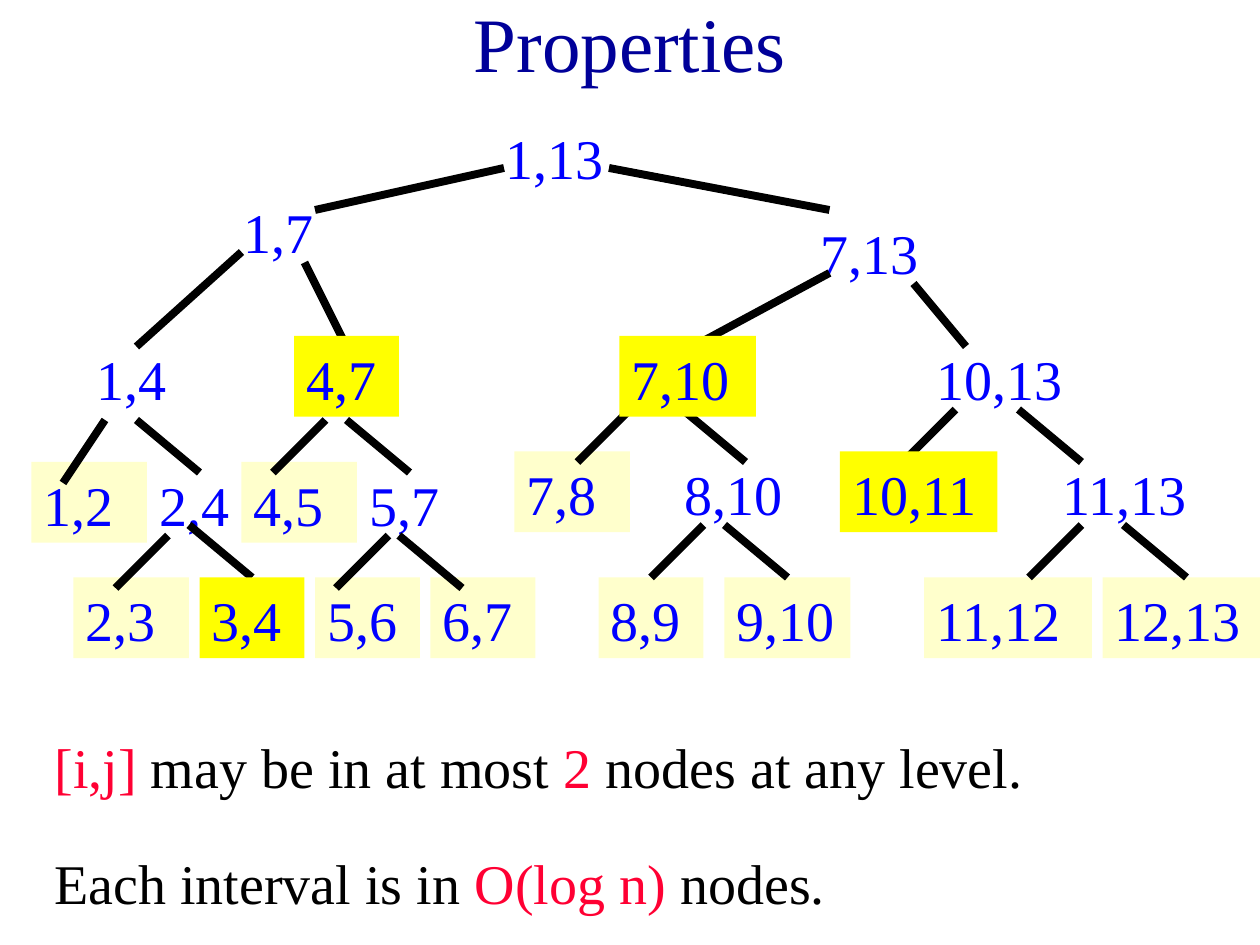
from lxml.etree import SubElement
from pptx import Presentation
from pptx.dml.color import RGBColor
from pptx.enum.shapes import MSO_CONNECTOR as Link, MSO_SHAPE as Preset
from pptx.enum.text import MSO_ANCHOR as Anchor, PP_ALIGN as Align
from pptx.oxml.ns import qn
from pptx.util import Inches, Pt

FONT = "Times New Roman"
NAVY = RGBColor(0x00, 0x00, 0x99)
BLUE = RGBColor(0x00, 0x00, 0xFF)
RED = RGBColor(0xFF, 0x00, 0x33)
BLACK = RGBColor(0x00, 0x00, 0x00)
WHITE = RGBColor(0xFF, 0xFF, 0xFF)
PALE = RGBColor(0xFF, 0xFF, 0xCC)
YELLOW = RGBColor(0xFF, 0xFF, 0x00)

UNIT = Inches(10) // 120
LINE_ROWS = 7.68
TOP_SIDE = 0

# label, column, row, columns wide, fill, branch from the parent
NODES = [
    ("1,13", 47, 11, 12, None, None),
    ("1,7", 22, 18, 12, None, (48, 16, 30, 20)),
    ("7,13", 77, 20, 15, None, (58, 16, 79, 20)),
    ("1,4", 8, 32, 11, None, (23, 24, 13, 33)),
    ("4,7", 28, 32, 10, YELLOW, (29, 25, 33, 33)),
    ("7,10", 59, 32, 13, YELLOW, (79, 26, 66, 33)),
    ("10,13", 88, 32, 16, None, (87, 27, 92, 33)),
    ("1,2", 3, 44, 11, PALE, (10, 40, 6, 46)),
    ("2,4", 14, 44, 11, None, (13, 40, 19, 45)),
    ("4,5", 23, 44, 11, PALE, (31, 40, 26, 45)),
    ("5,7", 34, 44, 12, None, (33, 40, 39, 45)),
    ("7,8", 49, 43, 11, PALE, (60, 39, 55, 44)),
    ("8,10", 64, 43, 16, None, (65, 39, 71, 44)),
    ("10,11", 80, 43, 15, YELLOW, (91, 39, 86, 44)),
    ("11,13", 100, 43, 16, None, (97, 39, 103, 44)),
    ("2,3", 7, 55, 11, PALE, (16, 51, 11, 56)),
    ("3,4", 19, 55, 10, YELLOW, (18, 50, 24, 55)),
    ("5,6", 30, 55, 10, PALE, (37, 51, 32, 56)),
    ("6,7", 41, 55, 10, PALE, (38, 51, 44, 56)),
    ("8,9", 57, 55, 10, PALE, (67, 50, 62, 55)),
    ("9,10", 69, 55, 12, PALE, (69, 50, 75, 55)),
    ("11,12", 88, 55, 16, PALE, (103, 50, 98, 55)),
    ("12,13", 105, 55, 15, PALE, (107, 50, 113, 55)),
]


def grid(*cells):
    return [round(cell * UNIT) for cell in cells]


def add_text(slide, area, runs, size=32, fill=None, align=Align.LEFT, anchor=Anchor.BOTTOM):
    if fill is None:
        holder = slide.shapes.add_textbox(*grid(*area))
    else:
        holder = slide.shapes.add_shape(Preset.RECTANGLE, *grid(*area))
        holder.shadow.inherit = False
        holder.fill.solid()
        holder.fill.fore_color.rgb = fill
        holder.line.fill.background()
    frame = holder.text_frame
    frame.word_wrap = True
    frame.vertical_anchor = anchor
    frame.margin_left = frame.margin_right = Inches(0.1)
    frame.margin_top = frame.margin_bottom = Inches(0.04)
    paragraph = frame.paragraphs[0]
    paragraph.alignment = align
    for words, color in runs:
        run = paragraph.add_run()
        run.text = words
        run.font.name = FONT
        run.font.size = Pt(size)
        run.font.color.rgb = color
    return holder


def add_node(slide, label, col, row, cols, fill):
    return add_text(slide, (col, row, cols, LINE_ROWS), [(label, BLUE)], fill=fill)


def add_branch(slide, ends):
    branch = slide.shapes.add_connector(Link.STRAIGHT, *grid(*ends))
    branch.line.color.rgb = BLACK
    branch.line.width = Pt(4.5)
    SubElement(branch._element.spPr, qn("a:effectLst"))
    return branch


def add_tree(slide):
    behind = [node for node in NODES if node[4] != YELLOW]
    in_front = [node for node in NODES if node[4] == YELLOW]
    boxes = {node[0]: add_node(slide, *node[:5]) for node in behind}
    branches = {node[0]: add_branch(slide, node[5]) for node in NODES if node[5]}
    boxes.update({node[0]: add_node(slide, *node[:5]) for node in in_front})
    for label, col, row, cols, fill, ends in NODES:
        if ends and ends[2:] == (col + cols / 2, row):
            branches[label].end_connect(boxes[label], TOP_SIDE)


def add_property(slide, row, runs):
    add_text(slide, (4, row, 111, LINE_ROWS), runs, fill=WHITE)


def main():
    deck = Presentation()
    deck.slide_width, deck.slide_height = grid(120, 90)
    slide = deck.slides.add_slide(deck.slide_layouts[6])
    add_text(slide, (9, 0, 102, 8), [("Properties", NAVY)], size=44,
             align=Align.CENTER, anchor=Anchor.MIDDLE)
    add_property(slide, 69, [("[i,j] ", RED), ("may be in at most ", BLACK),
                             ("2", RED), (" nodes at any level.", BLACK)])
    add_tree(slide)
    add_property(slide, 80, [("Each interval is in ", BLACK),
                             ("O(log n)", RED), (" nodes.", BLACK)])
    deck.save("out.pptx")


if __name__ == "__main__":
    main()
